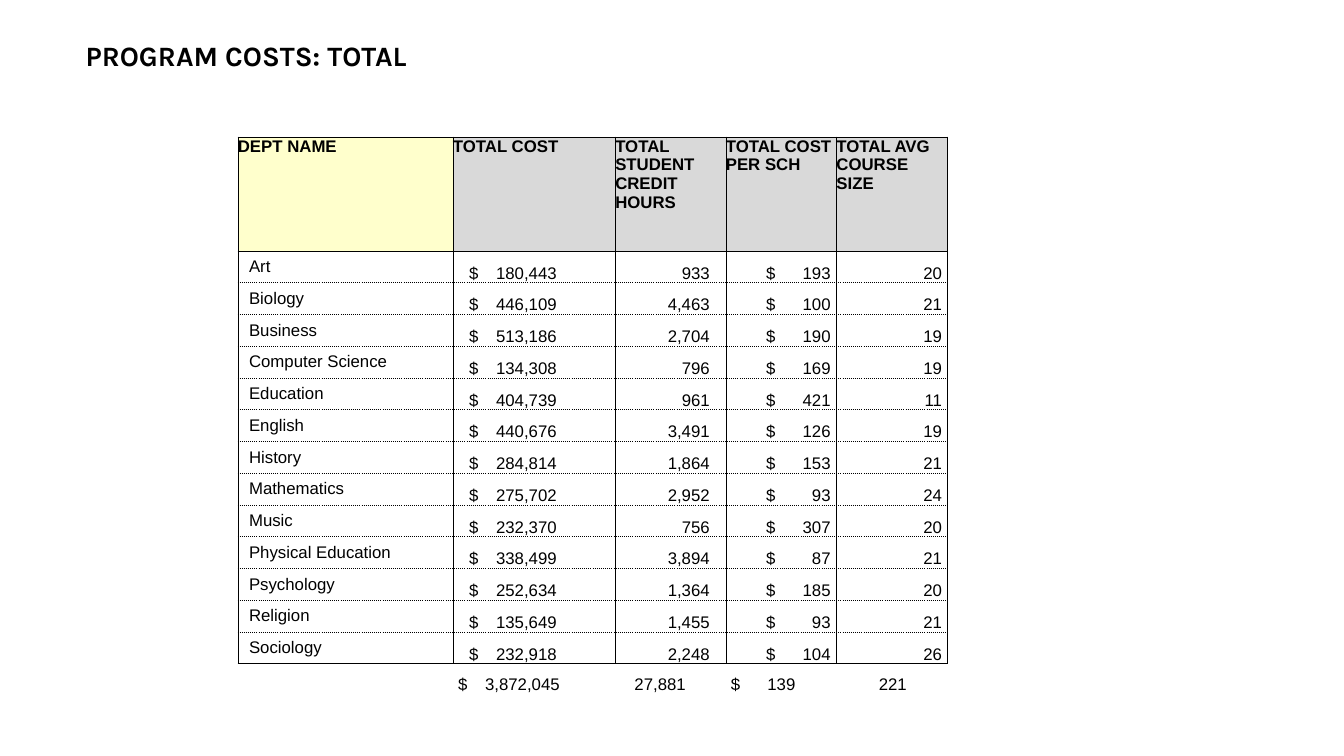
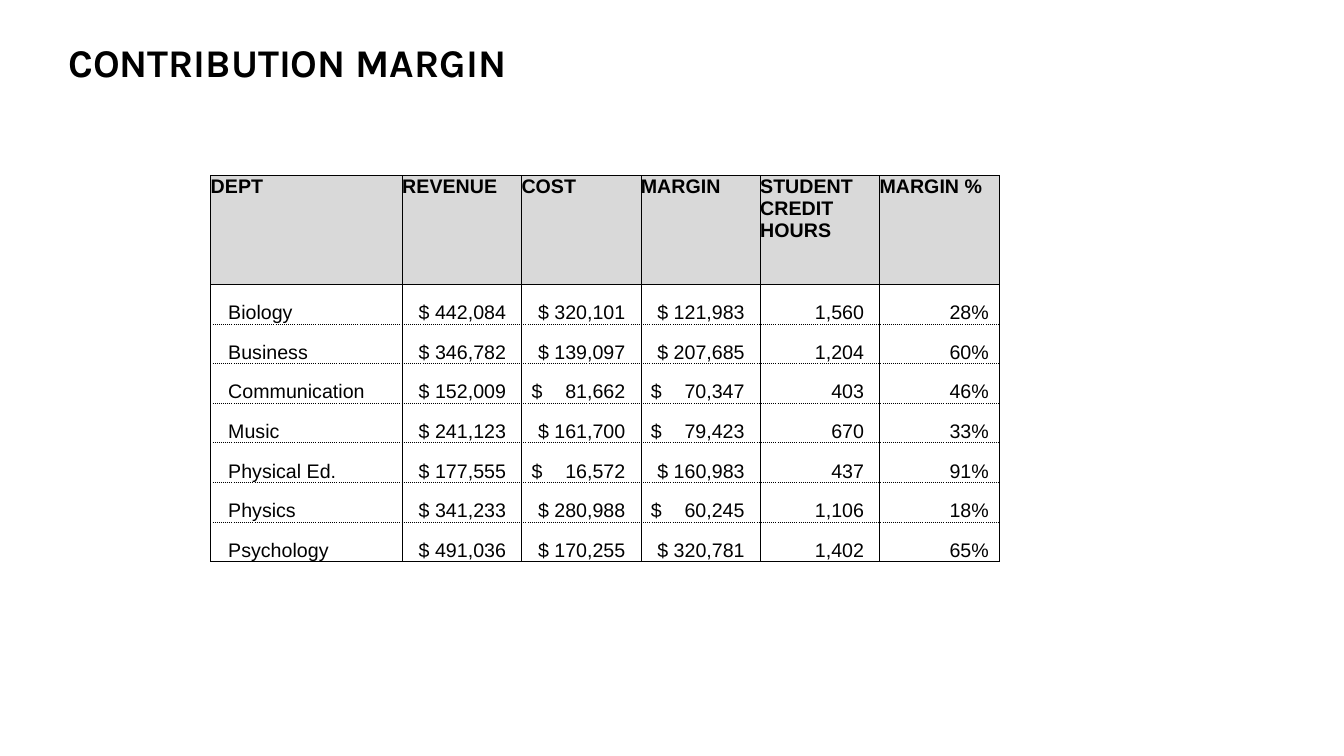
"""Build two slides of department cost and margin tables."""
from lxml import etree
from pptx import Presentation
from pptx.dml.color import RGBColor
from pptx.enum.text import MSO_ANCHOR, PP_ALIGN
from pptx.oxml.ns import qn
from pptx.util import Inches, Pt

LEFT, RIGHT = PP_ALIGN.LEFT, PP_ALIGN.RIGHT
TOP, MIDDLE, BOTTOM = MSO_ANCHOR.TOP, MSO_ANCHOR.MIDDLE, MSO_ANCHOR.BOTTOM
WIDTH, HEIGHT = Inches(13.33), Inches(7.5)
COLUMN, ROW = WIDTH / 100, HEIGHT / 100
BLACK, GREY, YELLOW = "000000", "D9D9D9", "FFFFCC"
TITLE_FONT, TABLE_FONT = "Karla", "Arial"
PLAIN_TABLE = "{2D5ABB26-0587-4C30-8999-92F81FD0307C}"

# Each cell style: anchor, alignment, left inset, right inset, tab stop
HEADER_STYLE = (TOP, LEFT, 0, 0, 0)
MONEY_STYLE = (BOTTOM, RIGHT, 0.75, 1.15, 6.98)

SLIDES = [
    {
        "title": "PROGRAM COSTS: TOTAL",
        "title_size": 20,
        "title_place": (5.63, 4.4, 56.63, 25.6),
        "table_place": (17.7, 18.1),
        "size": 12,
        "widths": [16, 12.08] + [8.23] * 3,
        "header_height": 15.1,
        "row_height": 4.2,
        "header_fills": [YELLOW] + [GREY] * 4,
        "header": ["DEPT NAME", "TOTAL COST", "TOTAL STUDENT CREDIT HOURS",
                   "TOTAL COST PER SCH", "TOTAL AVG COURSE SIZE"],
        "styles": [(MIDDLE, LEFT, 0.83, 0, 0), (BOTTOM, LEFT, 1.2, 0, 6.53),
                   (BOTTOM, RIGHT, 0, 1.2, 0), (BOTTOM, LEFT, 3, 0.23, 4.8),
                   (BOTTOM, RIGHT, 0, 0.38, 0)],
        "rows": [
            ["Art", "$\t180,443", "933", "$\t193", "20"],
            ["Biology", "$\t446,109", "4,463", "$\t100", "21"],
            ["Business", "$\t513,186", "2,704", "$\t190", "19"],
            ["Computer Science", "$\t134,308", "796", "$\t169", "19"],
            ["Education", "$\t404,739", "961", "$\t421", "11"],
            ["English", "$\t440,676", "3,491", "$\t126", "19"],
            ["History", "$\t284,814", "1,864", "$\t153", "21"],
            ["Mathematics", "$\t275,702", "2,952", "$\t93", "24"],
            ["Music", "$\t232,370", "756", "$\t307", "20"],
            ["Physical Education", "$\t338,499", "3,894", "$\t87", "21"],
            ["Psychology", "$\t252,634", "1,364", "$\t185", "20"],
            ["Religion", "$\t135,649", "1,455", "$\t93", "21"],
            ["Sociology", "$\t232,918", "2,248", "$\t104", "26"],
        ],
        "totals": [["", "$\t3,872,045", "27,881", "$\t139", "221"]],
        "total_styles": [(BOTTOM, LEFT, 0, 0, 0), (BOTTOM, LEFT, 0.38, 0, 7.58),
                         (BOTTOM, LEFT, 1.43, 0, 0), (BOTTOM, LEFT, 0.38, 0, 4.8),
                         (BOTTOM, LEFT, 3.15, 0, 0)],
    },
    {
        "title": "CONTRIBUTION MARGIN",
        "title_size": 28,
        "title_place": (4.35, 4.4, 38.1, 25.6),
        "table_place": (15.68, 23.2),
        "size": 14,
        "widths": [14.25] + [8.88] * 5,
        "header_height": 14.4,
        "row_height": 5.24,
        "header_fills": [GREY] * 6,
        "header": ["DEPT", "REVENUE", "COST", "MARGIN",
                   "STUDENT CREDIT HOURS", "MARGIN %"],
        "styles": [(BOTTOM, LEFT, 1.3, 0, 0)] + [MONEY_STYLE] * 3
                  + [(BOTTOM, RIGHT, 0, 1.15, 0), (BOTTOM, RIGHT, 0, 0.75, 0)],
        "rows": [
            ["Biology", "$ 442,084", "$ 320,101", "$ 121,983", "1,560", "28%"],
            ["Business", "$ 346,782", "$ 139,097", "$ 207,685", "1,204", "60%"],
            ["Communication", "$ 152,009", "$\t81,662", "$\t70,347", "403", "46%"],
            ["Music", "$ 241,123", "$ 161,700", "$\t79,423", "670", "33%"],
            ["Physical Ed.", "$ 177,555", "$\t16,572", "$ 160,983", "437", "91%"],
            ["Physics", "$ 341,233", "$ 280,988", "$\t60,245", "1,106", "18%"],
            ["Psychology", "$ 491,036", "$ 170,255", "$ 320,781", "1,402", "65%"],
        ],
        "totals": [],
        "total_styles": [],
    },
]


def add_text(para, text, font, size, bold):
    span = para.add_run()
    span.text = text
    span.font.name, span.font.size, span.font.bold = font, Pt(size), bold
    span.font.color.rgb = RGBColor.from_string(BLACK)


def add_borders(cell, dashes):
    properties = cell._tc.get_or_add_tcPr()
    for position, (side, dash) in enumerate(dashes.items()):
        line = etree.Element(qn(f"a:ln{side}"), w=str(Pt(0.5)))
        fill = etree.SubElement(line, qn("a:solidFill"))
        etree.SubElement(fill, qn("a:srgbClr"), val=BLACK)
        etree.SubElement(line, qn("a:prstDash"), val=dash)
        properties.insert(position, line)


deck = Presentation()
deck.slide_width, deck.slide_height = WIDTH, HEIGHT

for content in SLIDES:
    page = deck.slides.add_slide(deck.slide_layouts[6])
    left, top, width, height = content["title_place"]
    box = page.shapes.add_textbox(int(left * COLUMN), int(top * ROW),
                                  int(width * COLUMN), int(height * ROW))
    box.text_frame.word_wrap = True
    add_text(box.text_frame.paragraphs[0], content["title"], TITLE_FONT,
             content["title_size"], True)

    body_count = len(content["rows"])
    lines = [content["header"]] + content["rows"] + content["totals"]
    styles = ([[HEADER_STYLE] * len(content["header"])]
              + [content["styles"]] * body_count + [content["total_styles"]])
    heights = ([content["header_height"]] + [content["row_height"]] * body_count
               + [4] * len(content["totals"]))
    left, top = content["table_place"]
    table = page.shapes.add_table(
        len(lines), len(content["widths"]), int(left * COLUMN), int(top * ROW),
        int(sum(content["widths"]) * COLUMN), int(sum(heights) * ROW)).table
    table.first_row = table.horz_banding = False
    table._tbl.tblPr.find(qn("a:tableStyleId")).text = PLAIN_TABLE
    for column, width in zip(table.columns, content["widths"]):
        column.width = int(width * COLUMN)

    for index, texts in enumerate(lines):
        table.rows[index].height = int(heights[index] * ROW)
        dashes = {"L": "solid", "R": "solid",
                  "T": "solid" if index <= 1 else "sysDot",
                  "B": "solid" if index in (0, body_count) else "sysDot"}
        if index > body_count:
            dashes = {"T": "solid"}
        for position, text in enumerate(texts):
            cell = table.cell(index, position)
            anchor, align, inset_left, inset_right, tab = styles[index][position]
            cell.vertical_anchor = anchor
            cell.margin_left = int(inset_left * COLUMN)
            cell.margin_right = int(inset_right * COLUMN)
            cell.margin_top = cell.margin_bottom = 0
            if index == 0:
                cell.fill.solid()
                fill_color = content["header_fills"][position]
                cell.fill.fore_color.rgb = RGBColor.from_string(fill_color)
            else:
                cell.fill.background()
            add_borders(cell, dashes)
            para = cell.text_frame.paragraphs[0]
            para.alignment = align
            if "\t" in text:
                para.alignment = LEFT
                stops = etree.SubElement(para._p.get_or_add_pPr(), qn("a:tabLst"))
                etree.SubElement(stops, qn("a:tab"), pos=str(int(tab * COLUMN)), algn="r")
            if text:
                add_text(para, text, TABLE_FONT, content["size"], index == 0)

deck.save("out.pptx")
